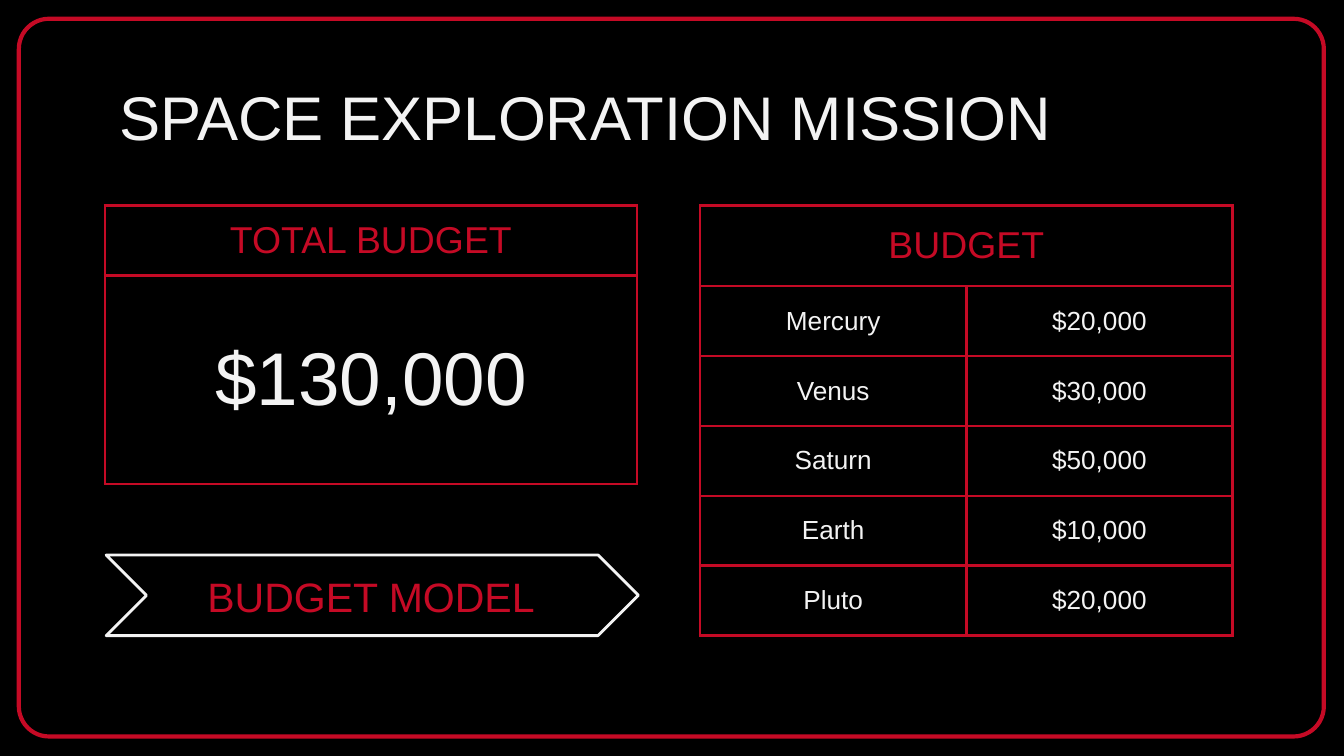
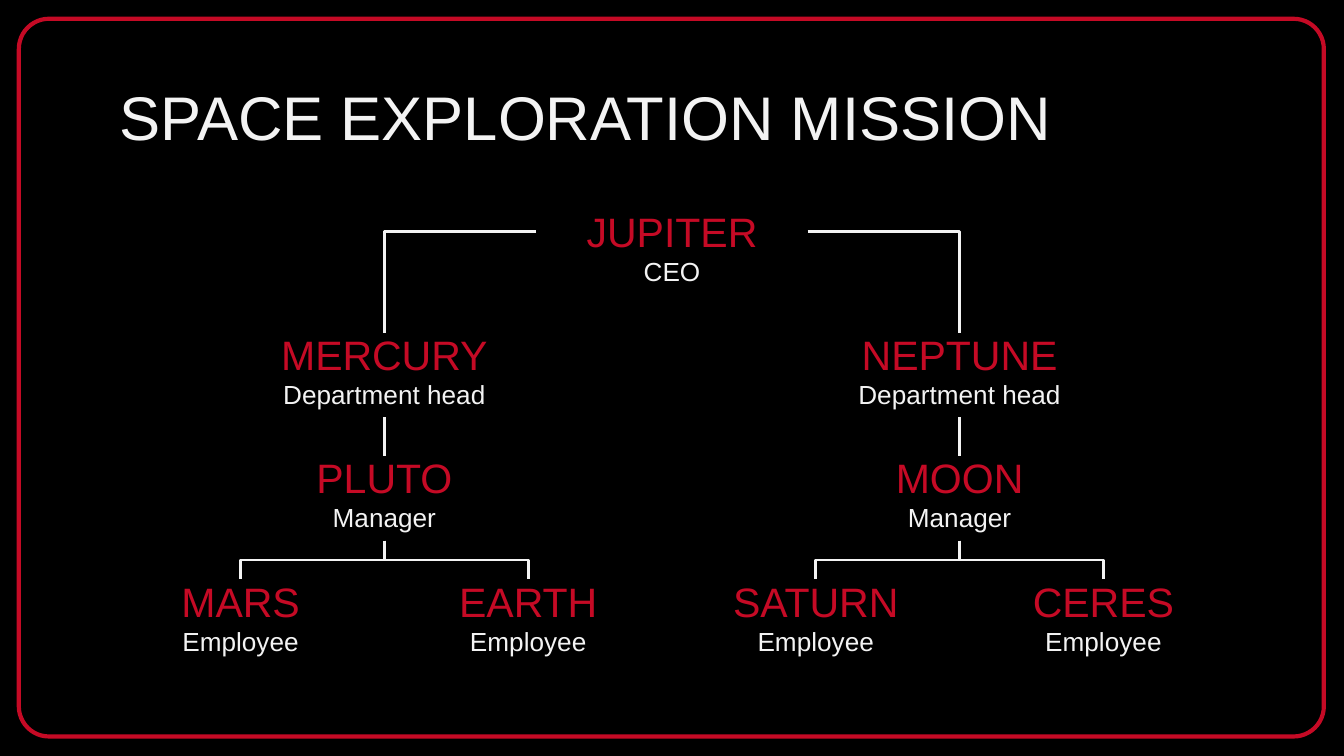
import pptx
import pptx.dml.color
import pptx.enum.shapes
import pptx.enum.text
import pptx.oxml
import pptx.oxml.ns
import pptx.util
from lxml import etree

Inches = pptx.util.Inches
Pt = pptx.util.Pt
Shape = pptx.enum.shapes.MSO_SHAPE
Connector = pptx.enum.shapes.MSO_CONNECTOR
Align = pptx.enum.text.PP_ALIGN
Anchor = pptx.enum.text.MSO_ANCHOR
qn = pptx.oxml.ns.qn

PAGE_WIDTH = 10
PAGE_HEIGHT = PAGE_WIDTH * 9 / 16
BLACK, RED, WHITE = "000000", "C50A25", "F3F3F3"
FONT = "Arial"
INSET = 0.1
LINE_WIDTH = 1.5

COLUMN_STEP, LEVEL_STEP = 1.07, 2.75 / 3
NODE_WIDTH, NAME_HEIGHT = 2.02, 0.32
ROLE_OFFSET, ROLE_HEIGHT = 0.24, 0.39
NODE_HEIGHT = ROLE_OFFSET + ROLE_HEIGHT

BUDGET = [
    ("Mercury", "$20,000"),
    ("Venus", "$30,000"),
    ("Saturn", "$50,000"),
    ("Earth", "$10,000"),
    ("Pluto", "$20,000"),
]
STAFF = [
    ("JUPITER", "CEO", 3, 0, None),
    ("MERCURY", "Department head", 1, 1, "JUPITER"),
    ("NEPTUNE", "Department head", 5, 1, "JUPITER"),
    ("PLUTO", "Manager", 1, 2, "MERCURY"),
    ("MOON", "Manager", 5, 2, "NEPTUNE"),
    ("MARS", "Employee", 0, 3, "PLUTO"),
    ("EARTH", "Employee", 2, 3, "PLUTO"),
    ("SATURN", "Employee", 4, 3, "MOON"),
    ("CERES", "Employee", 6, 3, "MOON"),
]


def color(value):
    return pptx.dml.color.RGBColor.from_string(value)


def inches(*values):
    return [Inches(value) for value in values]


def write(frame, text, size=14, fill=WHITE, align=Align.CENTER):
    para = frame.paragraphs[0]
    para.alignment = align
    span = para.add_run()
    span.text = text
    span.font.name = FONT
    span.font.size = Pt(size)
    span.font.color.rgb = color(fill)


def set_insets(target, anchor):
    target.vertical_anchor = anchor
    target.margin_left = target.margin_right = Inches(INSET)
    target.margin_top = target.margin_bottom = Inches(INSET)


def prepare(frame, anchor):
    frame.word_wrap = True
    frame.auto_size = pptx.enum.text.MSO_AUTO_SIZE.NONE
    set_insets(frame, anchor)


def add_text(page, box, text, anchor=Anchor.MIDDLE, **style):
    frame = page.shapes.add_textbox(*inches(*box)).text_frame
    prepare(frame, anchor)
    write(frame, text, **style)


def add_outline(page, kind, box, adjustment, line, width):
    shape = page.shapes.add_shape(kind, *inches(*box))
    shape.adjustments[0] = adjustment
    shape.shadow.inherit = False
    shape.fill.background()
    shape.line.color.rgb = color(line)
    shape.line.width = Pt(width)


def add_page(deck, title):
    page = deck.slides.add_slide(deck.slide_layouts[5])
    page.background.fill.solid()
    page.background.fill.fore_color.rgb = color(BLACK)
    add_outline(page, Shape.ROUNDED_RECTANGLE, (0.14, 0.14, 9.71, 5.34), 0.042, RED, 2.25)
    heading = page.shapes.title
    heading.left, heading.top, heading.width, heading.height = inches(0.79, 0.49, 8.43, 0.63)
    prepare(heading.text_frame, Anchor.TOP)
    write(heading.text_frame, title, size=33, align=Align.LEFT)
    return page


def format_cell(cell):
    cell.fill.background()
    set_insets(cell, Anchor.MIDDLE)
    properties = cell._tc.get_or_add_tcPr()
    for index, side in enumerate(("lnL", "lnR", "lnT", "lnB")):
        border = etree.Element(qn("a:" + side), w=str(Pt(LINE_WIDTH)))
        solid = etree.SubElement(border, qn("a:solidFill"))
        etree.SubElement(solid, qn("a:srgbClr"), val=RED)
        properties.insert(index, border)


def add_budget_table(page, box, heading, rows, heading_height, size):
    width, height = box[2:]
    columns = len(rows[0])
    table = page.shapes.add_table(len(rows) + 1, columns, *inches(*box)).table
    table.first_row = table.horz_banding = False
    for column in table.columns:
        column.width = Inches(width / columns)
    for row in table.rows:
        row.height = Inches((height - heading_height) / len(rows))
    table.rows[0].height = Inches(heading_height)
    for cell in table.iter_cells():
        format_cell(cell)
    if columns > 1:
        table.cell(0, 0).merge(table.cell(0, columns - 1))
    write(table.cell(0, 0).text_frame, heading, size=20, fill=RED)
    for row_index, row in enumerate(rows, 1):
        for index, text in enumerate(row):
            write(table.cell(row_index, index).text_frame, text, size=size)


def add_model_banner(page, box):
    left, top, width, height = box
    add_outline(page, Shape.CHEVRON, box, 0.5, WHITE, LINE_WIDTH)
    label = (left + 0.41, top + 0.08, width - 0.84, height - 0.15)
    add_text(page, label, "BUDGET MODEL", size=22, fill=RED)


def add_elbow(page, start, end):
    line = page.shapes.add_connector(Connector.ELBOW, *inches(*start, *end))
    line.line.color.rgb = color(WHITE)
    line.line.width = Pt(LINE_WIDTH)
    properties = line._element.spPr
    etree.SubElement(properties, qn("a:effectLst"))
    return properties


def add_corner(page, start, end):
    properties = add_elbow(page, start, end)
    properties.find(qn("a:prstGeom")).set("prst", "bentConnector2")


def add_branch(page, start, end):
    middle_x, middle_y = (start[0] + end[0]) / 2, (start[1] + end[1]) / 2
    half_drop, half_shift = (end[1] - start[1]) / 2, abs(end[0] - start[0]) / 2
    goes_left = end[0] < start[0]
    reach = half_drop if goes_left else -half_drop
    properties = add_elbow(
        page,
        (middle_x - reach, middle_y - half_shift),
        (middle_x + reach, middle_y + half_shift),
    )
    angle = 90 if goes_left else 270
    properties.find(qn("a:xfrm")).set("rot", str(angle * 60000))


def add_node(page, box, name, role):
    left, top, width, height = box
    add_text(page, (left, top, width, NAME_HEIGHT), name, size=22, fill=RED)
    role_box = (left, top + ROLE_OFFSET, width, height - ROLE_OFFSET)
    add_text(page, role_box, role, anchor=Anchor.TOP)


def add_staff_chart(page, left, top):
    places = {}
    for name, role, column, level, parent in STAFF:
        x, y = left + column * COLUMN_STEP, top + level * LEVEL_STEP
        places[name] = (x, y)
        add_node(page, (x, y, NODE_WIDTH, NODE_HEIGHT), name, role)
        if parent is None:
            continue
        parent_x, parent_y = places[parent]
        end = (x + NODE_WIDTH / 2, y)
        if level == 1:
            side = parent_x if x < parent_x else parent_x + NODE_WIDTH
            add_corner(page, (side, parent_y + NAME_HEIGHT / 2), end)
        else:
            add_branch(page, (parent_x + NODE_WIDTH / 2, parent_y + NODE_HEIGHT), end)


def main():
    deck = pptx.Presentation()
    deck.slide_width, deck.slide_height = inches(PAGE_WIDTH, PAGE_HEIGHT)
    title = "SPACE EXPLORATION MISSION"

    page = add_page(deck, title)
    add_budget_table(page, (0.78, 1.53, 3.96, 2.07), "TOTAL BUDGET", [("$130,000",)], 0.52, 40)
    add_budget_table(page, (5.21, 1.53, 3.96, 3.2), "BUDGET", BUDGET, 0.6, 14)
    add_model_banner(page, (0.79, 4.13, 3.96, 0.6))

    page = add_page(deck, title)
    add_staff_chart(page, 0.78, 1.56)

    deck.save("out.pptx")


if __name__ == "__main__":
    main()
